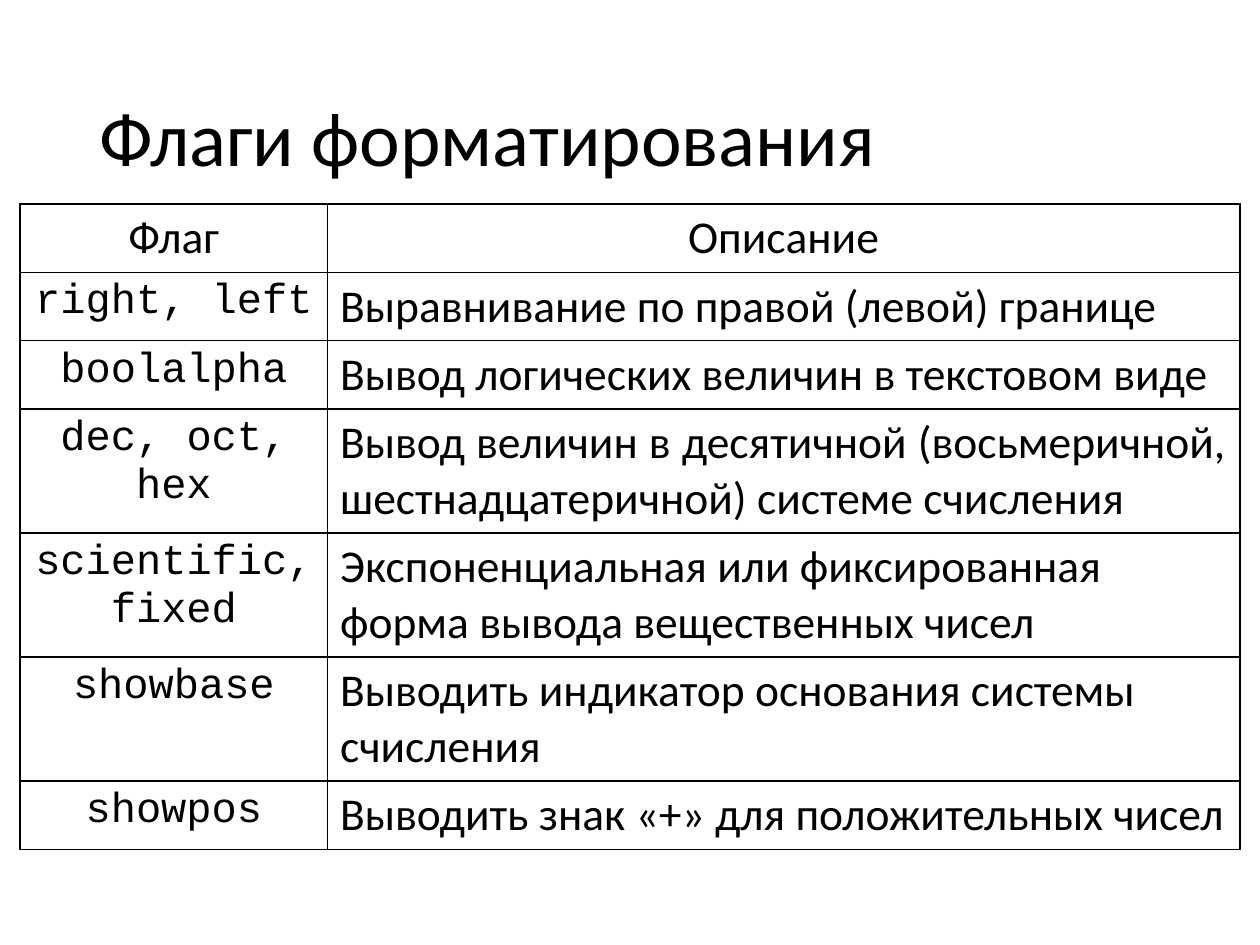
"""Build a slide with a table of stream formatting flags."""
from lxml.etree import SubElement
from pptx import Presentation
from pptx.dml.color import RGBColor
from pptx.enum.text import MSO_ANCHOR, PP_ALIGN as Align
from pptx.oxml.ns import qn
from pptx.util import Inches, Pt

BLACK = RGBColor(0x00, 0x00, 0x00)
WHITE = RGBColor(0xFF, 0xFF, 0xFF)
ROWS = [
    ("Флаг", "Описание", Align.CENTER),
    ("right, left", "Выравнивание по правой (левой) границе", Align.JUSTIFY),
    ("boolalpha", "Вывод логических величин в текстовом виде", Align.JUSTIFY),
    ("dec, oct, hex", "Вывод величин в десятичной (восьмеричной, "
     "шестнадцатеричной) системе счисления", Align.JUSTIFY),
    ("scientific, fixed", "Экспоненциальная или фиксированная форма вывода "
     "вещественных чисел", Align.LEFT),
    ("showbase", "Выводить индикатор основания системы счисления", Align.LEFT),
    ("showpos", "Выводить знак «+» для положительных чисел", Align.LEFT),
]


def set_font(paragraph, name, size):
    for run in paragraph.runs:
        run.font.name = name
        run.font.size = Pt(size)
        run.font.bold = False
        run.font.color.rgb = BLACK


def add_borders(cell):
    properties = cell._tc.get_or_add_tcPr()
    for side in ("lnL", "lnR", "lnT", "lnB"):
        line = SubElement(properties, qn(f"a:{side}"), w=str(Pt(1)))
        fill = SubElement(line, qn("a:solidFill"))
        SubElement(fill, qn("a:srgbClr"), val=str(BLACK))


presentation = Presentation()
presentation.slide_width = Inches(10)
presentation.slide_height = Inches(7.5)
slide = presentation.slides.add_slide(presentation.slide_layouts[5])

title = slide.shapes.title
title.left, title.top = Inches(0.69), Inches(0.4)
title.width, title.height = Inches(8.62), Inches(1.45)
title.text_frame.text = "Флаги форматирования"
title.text_frame.vertical_anchor = MSO_ANCHOR.MIDDLE
heading = title.text_frame.paragraphs[0]
heading.alignment = Align.LEFT
heading.line_spacing = 0.9
set_font(heading, "Calibri", 44)

table = slide.shapes.add_table(
    len(ROWS), 2, Inches(0.16), Inches(1.62), Inches(9.68), Inches(0.41 * len(ROWS))
).table
table.first_row = False
table.horz_banding = False
table.columns[0].width = Inches(2.44)
table.columns[1].width = Inches(7.24)

for row_index, (flag, description, alignment) in enumerate(ROWS):
    flag_font = ("Courier New", 24) if row_index else ("Calibri", 26)
    columns = [
        (flag, Align.CENTER, flag_font),
        (description, alignment, ("Calibri", 26)),
    ]
    for column_index, (text, align, font) in enumerate(columns):
        cell = table.cell(row_index, column_index)
        add_borders(cell)
        cell.fill.solid()
        cell.fill.fore_color.rgb = WHITE
        paragraph = cell.text_frame.paragraphs[0]
        paragraph.text = text
        paragraph.alignment = align
        set_font(paragraph, *font)

presentation.save("out.pptx")
